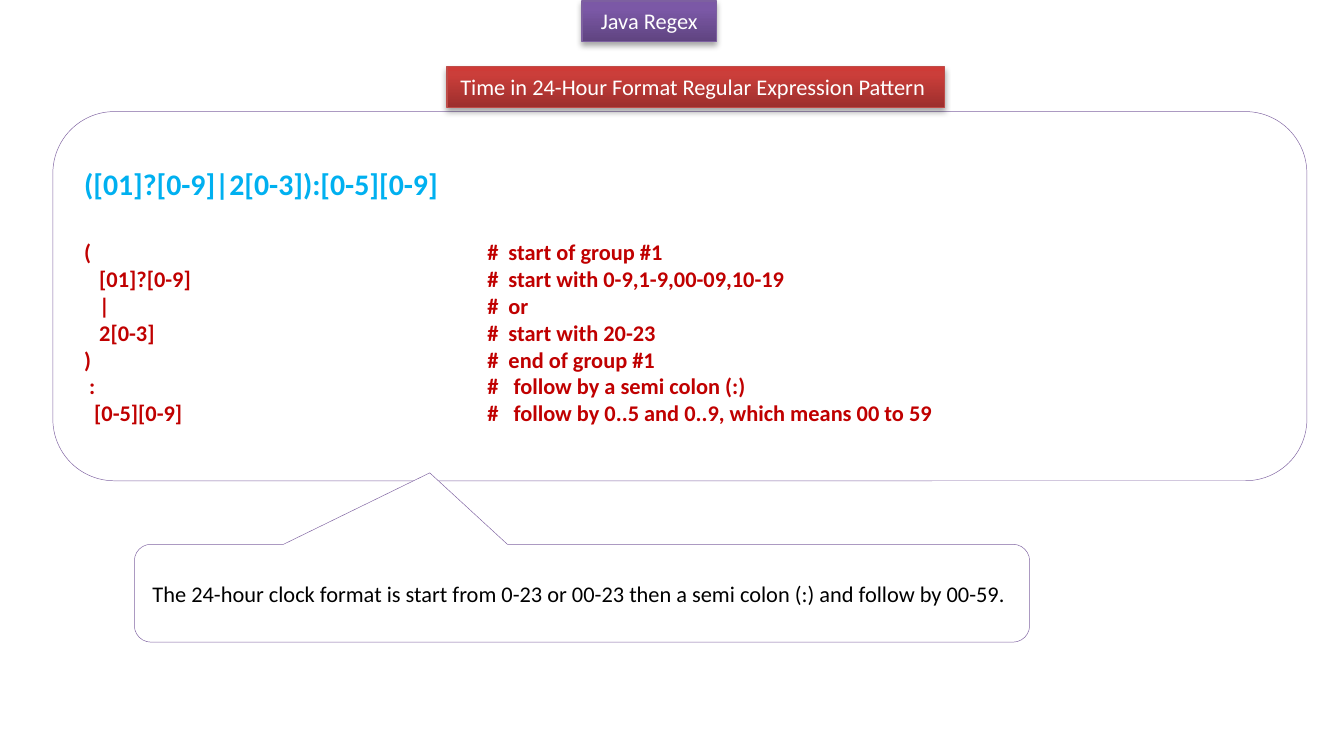
from copy import deepcopy

from lxml.etree import SubElement
from pptx import Presentation
from pptx.dml.color import RGBColor
from pptx.enum.shapes import MSO_SHAPE as Shape
from pptx.enum.text import MSO_ANCHOR as Anchor, MSO_AUTO_SIZE as AutoSize, PP_ALIGN as Align
from pptx.oxml.ns import qn
from pptx.util import Cm, Pt

COLORS = {
    "white": "FFFFFF", "black": "000000", "outline": "8064A2",
    "pattern": "00B0F0", "code": "C00000",
    "purple line": "7D60A0", "red line": "BF4C48",
}
# Gradient stops run from the bottom of the label to its top.
GRADIENTS = {
    "purple": [(0, "5F4480"), (0.8, "7B58A6"), (1, "7C57A8")],
    "red": [(0, "9C2F2D"), (0.8, "CB3E3A"), (1, "CE3B37")],
}
# Text, place in cm (left, top, width, height), colour, alignment, wrapping
LABELS = [
    ("Java Regex", (11, 0.02, 2.54, 0.77), "purple", Align.CENTER, True),
    ("Time in 24-Hour Format Regular Expression Pattern",
     (8.45, 1.26, 9.4, 0.77), "red", Align.LEFT, False),
]
PATTERN = "([01]?[0-9]|2[0-3]):[0-5][0-9]"
EXPLANATION = [
    ("(", "#  start of group #1"),
    ("   [01]?[0-9]", "#  start with 0-9,1-9,00-09,10-19"),
    ("   |", "#  or"),
    ("   2[0-3]", "#  start with 20-23"),
    (")", "#  end of group #1"),
    (" :", "#   follow by a semi colon (:)"),
    ("  [0-5][0-9]", "#   follow by 0..5 and 0..9, which means 00 to 59"),
]
NOTE = ("The 24-hour clock format is start from 0-23 or 00-23 "
        "then a semi colon (:) and follow by 00-59.")
PANEL_PLACE = (1, 2.11, 23.7, 6.98)
NOTE_PLACE = (2.54, 10.29, 16.92, 1.85)
COMMENT_TAB = Cm(7.62)


def rgb(name):
    return RGBColor.from_string(COLORS[name])


def add_box(page, kind, place, line_color, line_width):
    box = page.shapes.add_shape(kind, *map(Cm, place))
    box.shadow.inherit = False
    box.fill.solid()
    box.fill.fore_color.rgb = rgb("white")
    box.line.color.rgb = rgb(line_color)
    box.line.width = Pt(line_width)
    box.text_frame.word_wrap = True
    box.text_frame.vertical_anchor = Anchor.MIDDLE
    return box


def format_para(para, size, color, bold=False, align=Align.LEFT):
    para.alignment = align
    for span in para.runs:
        span.font.name = "Calibri"
        span.font.size = Pt(size)
        span.font.bold = bold
        span.font.color.rgb = rgb(color)


def set_gradient(box, stops):
    box.fill.gradient()
    box.fill.gradient_angle = 90
    stop_list = box.element.spPr.find(".//" + qn("a:gsLst"))
    while len(stop_list) < len(stops):
        stop_list.append(deepcopy(stop_list[-1]))
    for stop, (position, color) in zip(box.fill.gradient_stops, stops):
        stop.position = position
        stop.color.rgb = RGBColor.from_string(color)


def add_shadow(box):
    effects = box.element.spPr.find(qn("a:effectLst"))
    shadow = SubElement(effects, qn("a:outerShdw"), blurRad="40000",
                        dist="23000", dir="5400000", rotWithShape="0")
    color = SubElement(shadow, qn("a:srgbClr"), val=COLORS["black"])
    SubElement(color, qn("a:alpha"), val="35000")


def add_label(page, text, place, color, align, wrap):
    box = add_box(page, Shape.RECTANGLE, place, color + " line", 0.75)
    set_gradient(box, GRADIENTS[color])
    add_shadow(box)
    frame = box.text_frame
    frame.text = text
    frame.word_wrap = wrap
    frame.auto_size = AutoSize.SHAPE_TO_FIT_TEXT
    frame.vertical_anchor = Anchor.TOP
    format_para(frame.paragraphs[0], 12, "white", align=align)


def add_panel(page):
    frame = add_box(page, Shape.ROUNDED_RECTANGLE, PANEL_PLACE, "outline", 0.25).text_frame
    frame.text = PATTERN
    format_para(frame.paragraphs[0], 16, "pattern", bold=True)
    for index, (code, comment) in enumerate(EXPLANATION):
        para = frame.add_paragraph()
        para.text = f"{code}\t{comment}"
        tabs = SubElement(para._p.get_or_add_pPr(), qn("a:tabLst"))
        SubElement(tabs, qn("a:tab"), pos=str(COMMENT_TAB), algn="l")
        if index == 0:
            para.space_before = Pt(19.5)
        format_para(para, 12, "code", bold=True)


def add_note(page):
    box = add_box(page, Shape.ROUNDED_RECTANGULAR_CALLOUT, NOTE_PLACE, "outline", 0.25)
    for index, value in enumerate((-0.17, -1.23, 0.17)):
        box.adjustments[index] = value
    box.text_frame.text = NOTE
    format_para(box.text_frame.paragraphs[0], 12, "black")


def main():
    deck = Presentation()
    deck.slide_width, deck.slide_height = Cm(25.4), Cm(13.97)
    page = deck.slides.add_slide(deck.slide_layouts[6])
    title, subtitle = LABELS
    add_label(page, *title)
    add_panel(page)
    add_label(page, *subtitle)
    add_note(page)
    deck.save("out.pptx")


if __name__ == "__main__":
    main()
